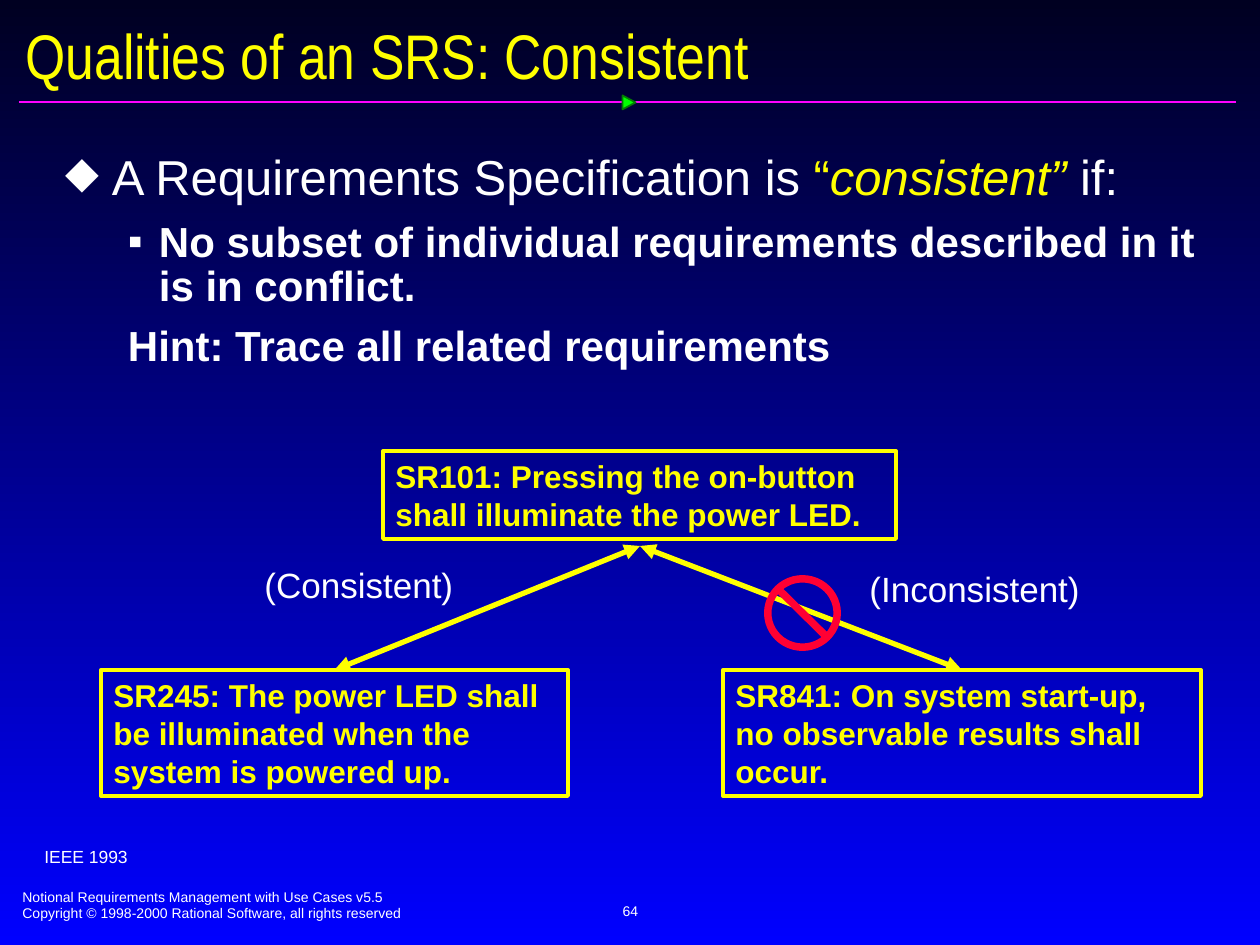
from lxml.etree import SubElement
from pptx import Presentation
from pptx.dml.color import RGBColor as RGB
from pptx.enum.shapes import MSO_CONNECTOR as Link, MSO_SHAPE as Kind
from pptx.enum.text import MSO_ANCHOR as Anchor, PP_ALIGN as Align
from pptx.oxml.ns import qn
from pptx.util import Emu, Pt

WHITE = RGB(255, 255, 255)
YELLOW = RGB(255, 255, 0)
PINK = RGB(255, 1, 255)
RED = RGB(255, 0, 51)
LIME = RGB(0, 255, 0)
GREEN = RGB(3, 124, 3)
NIGHT = RGB(0, 0, 33)
BLUE = RGB(0, 0, 255)

SCALE = 914400 / 126


def px(n):
    return Emu(round(n * SCALE))


def write(par, text, size, color=WHITE, bold=False, italic=False, face="Arial"):
    run = par.add_run()
    run.text = text
    font = run.font
    font.size, font.name = Pt(size), face
    font.bold, font.italic = bold, italic
    font.color.rgb = color


def indent(par, left, hang, mark=None):
    props = par._p.get_or_add_pPr()
    props.set("marL", str(px(left)))
    props.set("indent", str(-px(hang)))
    if mark:
        tint = SubElement(props, qn("a:buClr"))
        SubElement(tint, qn("a:srgbClr")).set("val", str(WHITE))
        SubElement(props, qn("a:buFont")).set("typeface", "Arial")
        SubElement(props, qn("a:buChar")).set("char", mark)
    else:
        SubElement(props, qn("a:buNone"))


class Page:
    def __init__(self, deck):
        self.slide = deck.slides.add_slide(deck.slide_layouts[6])
        self.shapes = self.slide.shapes

    def back(self, top, base):
        fill = self.slide.background.fill
        fill.gradient()
        fill.gradient_angle = 270
        for stop, color, pos in zip(fill.gradient_stops, (top, base), (0, 1)):
            stop.color.rgb = color
            stop.position = pos

    def frame(self, x, y, w, h, wrap=True, anchor=Anchor.TOP):
        frame = self.shapes.add_textbox(*map(px, (x, y, w, h))).text_frame
        frame.word_wrap = wrap
        frame.vertical_anchor = anchor
        return frame

    def label(self, box, lines, size, align=Align.LEFT, wrap=True,
              anchor=Anchor.TOP, **style):
        frame = self.frame(*box, wrap, anchor)
        for i, line in enumerate(lines):
            par = frame.add_paragraph() if i else frame.paragraphs[0]
            par.alignment = align
            write(par, line, size, **style)

    def shape(self, kind, box, line, width, fill=None):
        shape = self.shapes.add_shape(kind, *map(px, box))
        shape.shadow.inherit = False
        if fill is None:
            shape.fill.background()
        else:
            shape.fill.solid()
            shape.fill.fore_color.rgb = fill
        shape.line.color.rgb = line
        shape.line.width = Pt(width)
        return shape

    def card(self, box, text):
        card = self.shape(Kind.RECTANGLE, box, YELLOW, 2.25)
        frame = card.text_frame
        frame.word_wrap = True
        frame.vertical_anchor = Anchor.TOP
        par = frame.paragraphs[0]
        par.alignment = Align.LEFT
        write(par, text, 18, YELLOW, bold=True)
        return card

    def line(self, start, end, color, width, heads=False):
        line = self.shapes.add_connector(
            Link.STRAIGHT, *map(px, (*start, *end)))
        line.line.color.rgb = color
        line.line.width = Pt(width)
        if heads:
            for tag in ("a:headEnd", "a:tailEnd"):
                SubElement(line.line._ln, qn(tag)).set("type", "triangle")
        SubElement(line._element.spPr, qn("a:effectLst"))
        return line

    def body(self, box):
        frame = self.frame(*box)
        frame.margin_left = frame.margin_right = px(15)
        frame.margin_top = frame.margin_bottom = px(8)
        lead = frame.paragraphs[0]
        indent(lead, 47, 47, "⬥")
        lead.line_spacing = 0.8
        write(lead, "A Requirements Specification is ", 28)
        write(lead, "“", 28, YELLOW)
        write(lead, "consistent”", 28, YELLOW, italic=True)
        write(lead, " if:", 28)
        write(lead, " ", 32)
        points = (
            ("▪", "No subset of individual requirements described in it "
                  "is in conflict."),
            (None, "Hint: Trace all related requirements"),
        )
        for mark, text in points:
            par = frame.add_paragraph()
            par.level = 1
            indent(par, 94, 31, mark)
            par.line_spacing = 0.87
            par.space_before = Pt(9)
            write(par, text, 24, bold=True)


def main():
    deck = Presentation()
    deck.slide_width, deck.slide_height = px(1260), px(945)
    page = Page(deck)
    page.back(NIGHT, BLUE)

    page.label((10, 882, 643, 47), (
        "Notional Requirements Management with Use Cases v5.5",
        "Copyright © 1998-2000 Rational Software, all rights reserved"), 8)
    page.label((431, 879, 399, 63), ["64"], 8, align=Align.CENTER,
               wrap=False, anchor=Anchor.MIDDLE)
    page.line((19, 102), (1236, 102), PINK, 1)
    mark = page.shape(Kind.ISOSCELES_TRIANGLE, (622, 96, 14, 13),
                      GREEN, 1, LIME)
    mark.rotation = 90

    page.label((13, 18, 1240, 73), ["Qualities of an SRS: Consistent"], 36,
               anchor=Anchor.MIDDLE, color=YELLOW, face="Arial Narrow")
    page.body((50, 145, 1171, 696))
    page.label((32, 840, 174, 34), ["IEEE 1993"], 10)

    page.card((383, 451, 513, 88),
              "SR101: Pressing the on-button shall illuminate the power LED.")
    cards = (
        ((101, 670, 467, 126), "SR245: The power LED shall be illuminated "
                               "when the system is powered up."),
        ((723, 670, 478, 126), "SR841: On system start-up, no observable "
                               "results shall occur."),
    )
    for box, text in cards:
        card = page.card(box, text)
        x, y, w, h = box
        link = page.line((640, 546), (x + w // 2, y), YELLOW, 3, heads=True)
        link.end_connect(card, 0)

    page.label((857, 561, 236, 55), ["(Inconsistent)"], 20, wrap=False)
    page.label((252, 557, 214, 55), ["(Consistent)"], 20, wrap=False)
    ban = page.shape(Kind.NO_SYMBOL, (766, 577, 73, 72), RED, 2.25, RED)
    ban.adjustments[0] = 0.05

    deck.save("out.pptx")


if __name__ == "__main__":
    main()
